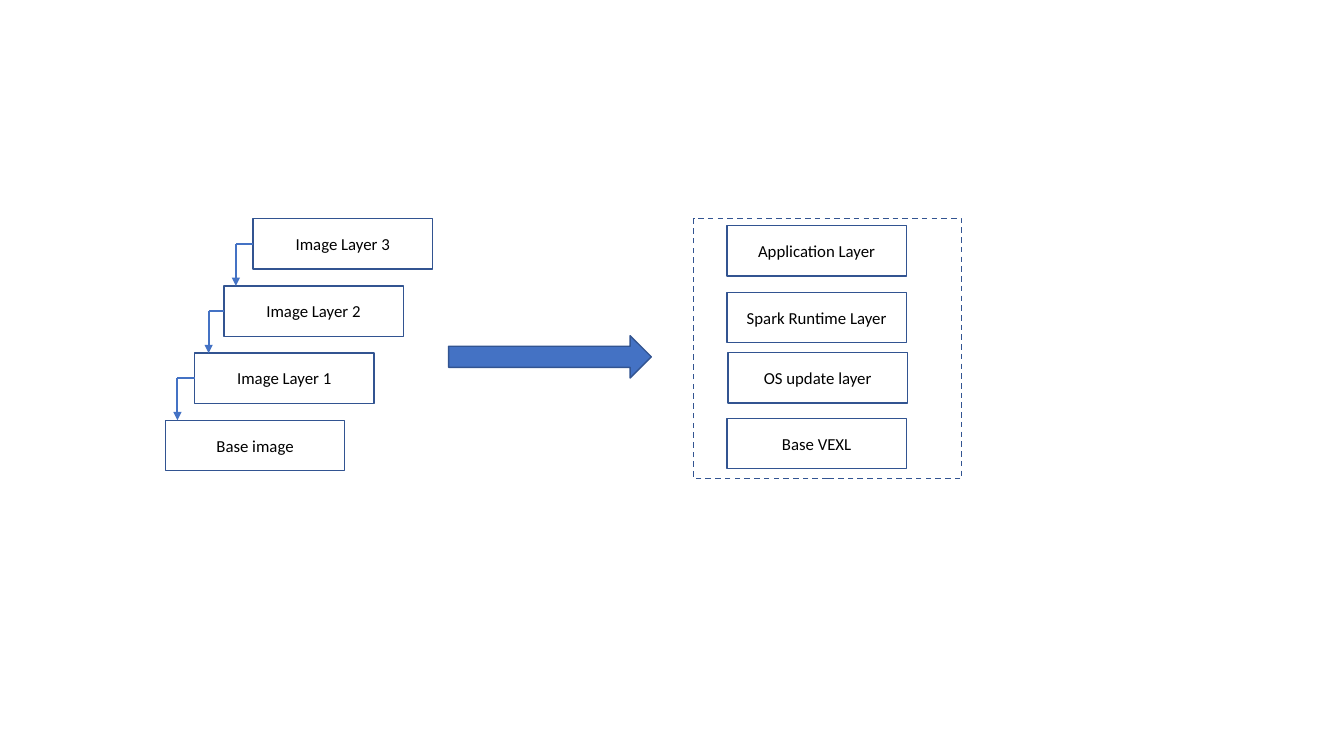
"""Build a slide that maps stacked container image layers to an example stack."""
import pptx
import pptx.dml.color
import pptx.enum.dml
import pptx.enum.shapes
import pptx.enum.text
import pptx.oxml.ns
import pptx.oxml.xmlchemy
import pptx.util

Inches = pptx.util.Inches
Pt = pptx.util.Pt
SHAPES = pptx.enum.shapes.MSO_SHAPE
BLUE, NAVY, BLACK = "4472C4", "325491", "000000"
BOX_WIDTH, BOX_HEIGHT = 1.78, 0.5
BASE_LEFT, BASE_TOP = 1.64, 4.17
STEP_RIGHT, STEP_UP = 0.29, 2 / 3

deck = pptx.Presentation()
deck.slide_width, deck.slide_height = Inches(13.33), Inches(7.5)
page = deck.slides.add_slide(deck.slide_layouts[6])


def color(value):
    return pptx.dml.color.RGBColor.from_string(value)


def add_outlined(kind, left, top, width, height, label=""):
    box = page.shapes.add_shape(
        kind, Inches(left), Inches(top), Inches(width), Inches(height))
    box.shadow.inherit = False
    box.fill.background()
    box.line.color.rgb = color(NAVY)
    box.line.width = Pt(1)
    if label:
        box.text_frame.text = label
        box.text_frame.vertical_anchor = pptx.enum.text.MSO_ANCHOR.MIDDLE
        para = box.text_frame.paragraphs[0]
        para.alignment = pptx.enum.text.PP_ALIGN.CENTER
        span = para.runs[0]
        span.font.name = "Calibri"
        span.font.size = Pt(12)
        span.font.color.rgb = color(BLACK)
    return box


image_layers = ["Base image", "Image Layer 1", "Image Layer 2", "Image Layer 3"]
for step, label in enumerate(image_layers):
    add_outlined(SHAPES.RECTANGLE, BASE_LEFT + step * STEP_RIGHT,
                 BASE_TOP - step * STEP_UP, BOX_WIDTH, BOX_HEIGHT, label)

for step, drop_x in enumerate([1.76, 2.07, 2.34], start=1):
    side = BASE_LEFT + step * STEP_RIGHT
    middle = BASE_TOP - step * STEP_UP + BOX_HEIGHT / 2
    landing = BASE_TOP - (step - 1) * STEP_UP
    for start_x, end_y in [(side, middle), (drop_x, landing)]:
        link = page.shapes.add_connector(
            pptx.enum.shapes.MSO_CONNECTOR.STRAIGHT,
            Inches(start_x), Inches(middle), Inches(drop_x), Inches(end_y))
        link.line.color.rgb = color(BLUE)
        link.line.width = Pt(1.5)
        properties = link.element.spPr
        properties.append(pptx.oxml.xmlchemy.OxmlElement("a:effectLst"))
    head = pptx.oxml.xmlchemy.OxmlElement("a:tailEnd")
    head.set("type", "triangle")
    properties.find(pptx.oxml.ns.qn("a:ln")).append(head)

arrow = add_outlined(SHAPES.RIGHT_ARROW, 4.45, 3.33, 2.01, 0.42)
arrow.fill.solid()
arrow.fill.fore_color.rgb = color(BLUE)

frame = add_outlined(SHAPES.RECTANGLE, 6.88, 2.17, 2.66, 2.58)
frame.line.dash_style = pptx.enum.dml.MSO_LINE.DASH

example_layers = [
    ("Base VEXL", 7.21, 4.15),
    ("OS update layer", 7.22, 3.5),
    ("Spark Runtime Layer", 7.21, 2.9),
    ("Application Layer", 7.21, 2.24),
]
for label, left, top in example_layers:
    add_outlined(SHAPES.RECTANGLE, left, top, BOX_WIDTH, BOX_HEIGHT, label)

deck.save("out.pptx")
